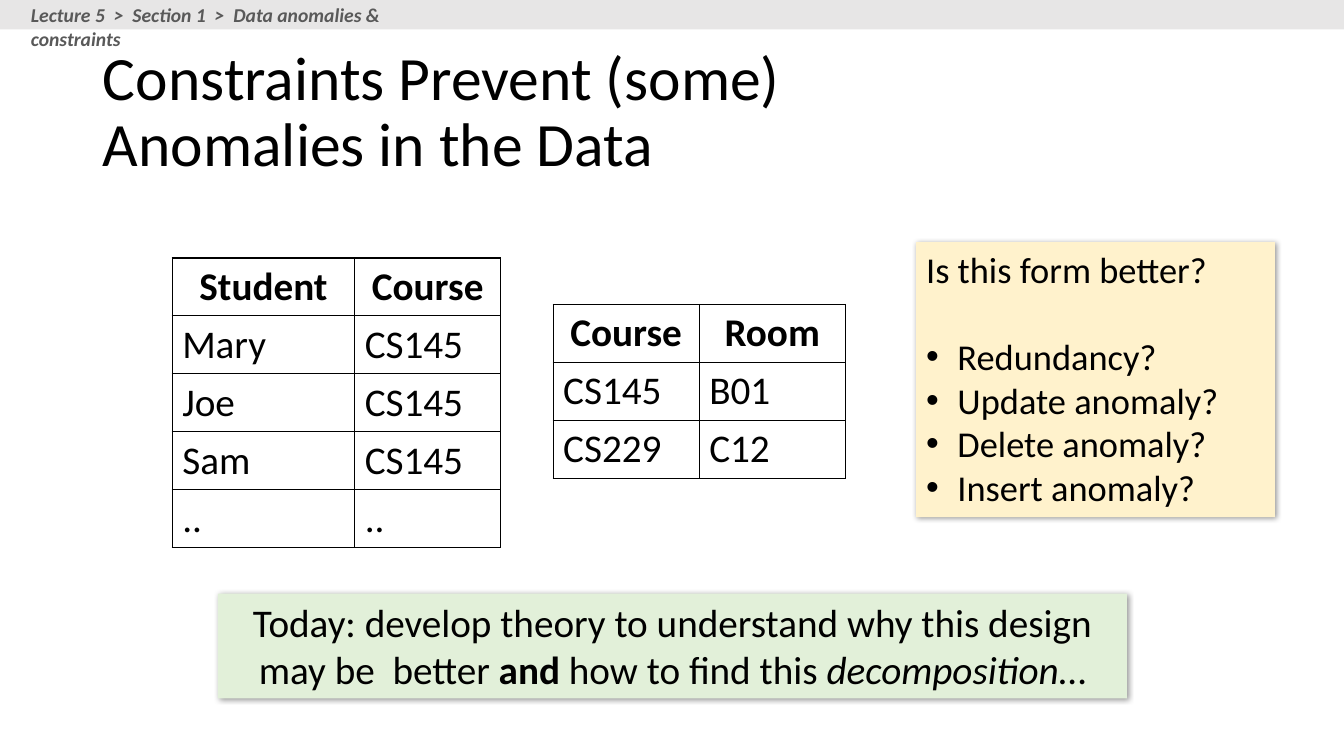
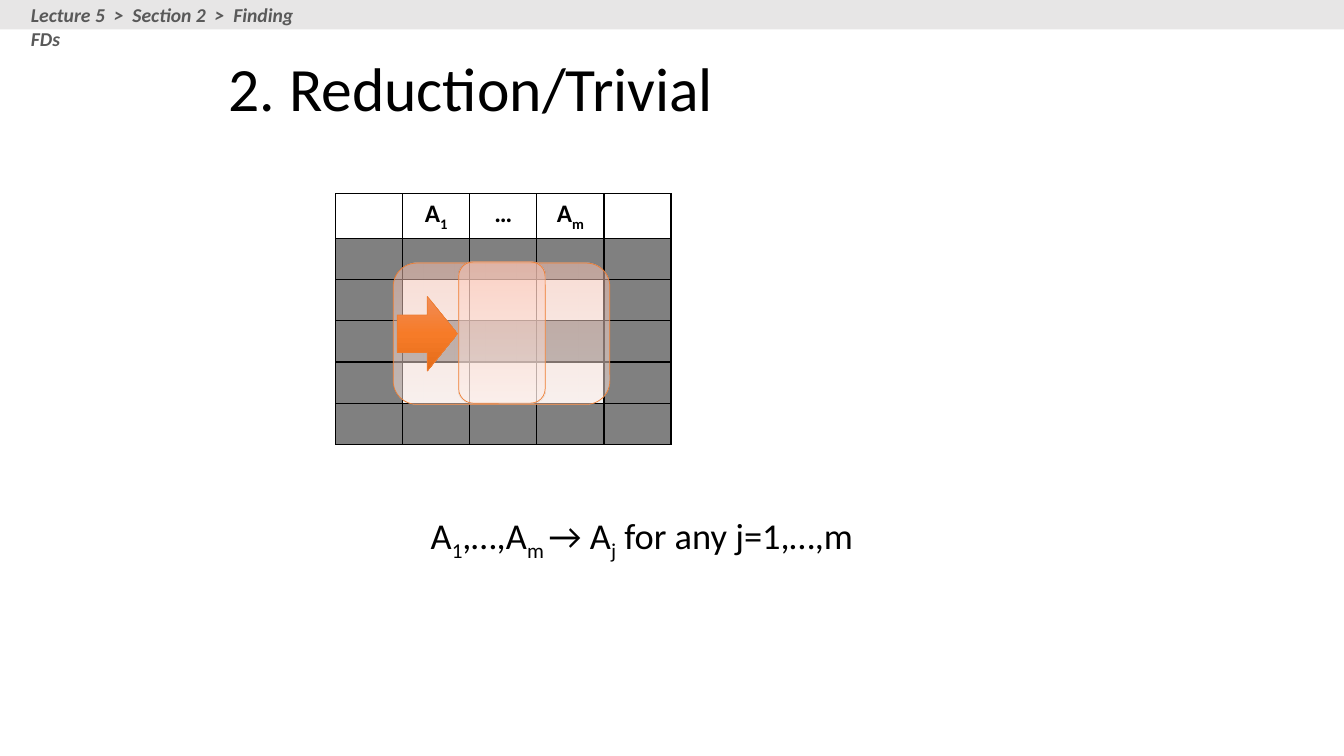
from pptx import Presentation
from pptx.dml.color import RGBColor
from pptx.enum.shapes import MSO_SHAPE as SHAPE
from pptx.enum.text import MSO_ANCHOR as ANCHOR, MSO_AUTO_SIZE as AUTO, PP_ALIGN as ALIGN
from pptx.oxml import parse_xml
from pptx.oxml.ns import nsdecls, qn
from pptx.util import Cm, Pt

FONT = "Calibri"
BLACK = RGBColor(0x00, 0x00, 0x00)
BAND = RGBColor(0xE7, 0xE6, 0xE6)
CRUMB = RGBColor(0x59, 0x59, 0x59)
GREEN = RGBColor(0xE2, 0xF0, 0xD9)
CREAM = RGBColor(0xFF, 0xF2, 0xCC)
ORANGE = RGBColor(0xED, 0x7D, 0x31)
GRAY = RGBColor(0x80, 0x80, 0x80)
LIGHT = RGBColor(0xF2, 0xF2, 0xF2)
PEACH_STOPS = [(0, RGBColor(0xFF, 0xC7, 0xB6)), (35, RGBColor(0xFF, 0xD7, 0xCB)),
               (100, RGBColor(0xFF, 0xF0, 0xEB))]
ARROW_STOPS = [(0, RGBColor(0xF1, 0x8C, 0x57)), (50, RGBColor(0xF6, 0x7B, 0x28)),
               (100, RGBColor(0xE5, 0x6C, 0x19))]

WIDTH, HEIGHT = 33.87, 19.05

ENROLMENTS = [("Student", "Course"), ("Mary", "CS145"), ("Joe", "CS145"),
              ("Sam", "CS145"), ("..", "..")]
ROOMS = [("Course", "Room"), ("CS145", "B01"), ("CS229", "C12")]
QUESTION = "Is this form better?"
ISSUES = ["Redundancy?", "Update anomaly?", "Delete anomaly?", "Insert anomaly?"]
TODAY = [("Today: develop theory to understand why this design may be  better ", ""),
         ("and", "b"), (" how to find this ", ""), ("decomposition", "i"), ("…", "")]
ATTRIBUTES = ["", [("A", ""), ("1", "sub")], "…", [("A", ""), ("m", "sub")], ""]
PATTERN_ROWS = 5
RULE = [("A", ""), ("1", "sub"), (",…,A", ""), ("m ", "sub"), ("→ A", ""),
        ("j", "sub"), (" for any j=1,…,m", "")]
OVERLAYS = [(SHAPE.ROUNDED_RECTANGLE, (9.91, 6.63, 5.46, 3.56), PEACH_STOPS, 50),
            (SHAPE.ROUNDED_RECTANGLE, (11.56, 6.6, 2.18, 3.56), PEACH_STOPS, 50),
            (SHAPE.RIGHT_ARROW, (10.01, 7.47, 1.52, 1.88), ARROW_STOPS, 100)]


def cms(box):
    return [Cm(v) for v in box]


def write(p, parts, size, bold=False, italic=False, color=BLACK, align=ALIGN.LEFT):
    p.alignment = align
    for text, style in [(parts, "")] if isinstance(parts, str) else parts:
        r = p.add_run()
        r.text = text
        f = r.font
        f.name, f.size, f.color.rgb = FONT, Pt(size), color
        f.bold = bold or style == "b"
        f.italic = italic or style == "i"
        if style == "sub":
            r._r.get_or_add_rPr().set("baseline", "-25000")


def add_text(s, box, parts, size, **look):
    tf = s.shapes.add_textbox(*cms(box)).text_frame
    tf.word_wrap = True
    write(tf.paragraphs[0], parts, size, **look)
    return tf


def add_box(s, kind, box, fill=None):
    sp = s.shapes.add_shape(kind, *cms(box))
    sp.shadow.inherit = False
    if fill is not None:
        sp.fill.solid()
        sp.fill.fore_color.rgb = fill
    sp.line.fill.background()
    return sp


def add_note(s, box, fill):
    sp = add_box(s, SHAPE.RECTANGLE, box, fill)
    sp._element.spPr.find(qn("a:effectLst")).append(parse_xml(
        f'<a:outerShdw {nsdecls("a")} blurRad="{Pt(4)}" dist="{Pt(1)}" dir="2700000">'
        '<a:srgbClr val="000000"><a:alpha val="40000"/></a:srgbClr></a:outerShdw>'))
    tf = sp.text_frame
    tf.word_wrap = True
    tf.vertical_anchor = ANCHOR.TOP
    return tf


def add_overlay(s, kind, box, stops, opacity):
    sp = add_box(s, kind, box)
    gs = "".join(f'<a:gs pos="{pos * 1000}"><a:srgbClr val="{color}">'
                 f'<a:alpha val="{opacity * 1000}"/></a:srgbClr></a:gs>'
                 for pos, color in stops)
    sp._element.spPr.find(qn("a:prstGeom")).addnext(parse_xml(
        f'<a:gradFill {nsdecls("a")} rotWithShape="1"><a:gsLst>{gs}</a:gsLst>'
        '<a:lin ang="5400000" scaled="0"/></a:gradFill>'))
    sp.line.color.rgb = ORANGE
    sp.line.width = Pt(0.5)


def add_grid(s, left, top, widths, row_height, rows, size, fill_at=None):
    frame = s.shapes.add_table(len(rows), len(widths), *cms(
        (left, top, sum(widths), row_height * len(rows))))
    table = frame.table
    table.first_row = table.horz_banding = False
    for col, width in zip(table.columns, widths):
        col.width = Cm(width)
    for i, row in enumerate(rows):
        table.rows[i].height = Cm(row_height)
        for j, parts in enumerate(row):
            cell = table.cell(i, j)
            tcPr = cell._tc.get_or_add_tcPr()
            for side in "LRTB":
                tcPr.append(parse_xml(
                    f'<a:ln{side} {nsdecls("a")} w="{Pt(1)}"><a:solidFill>'
                    f'<a:srgbClr val="{BLACK}"/></a:solidFill></a:ln{side}>'))
            color = fill_at(i, j) if fill_at else None
            if color is None:
                cell.fill.background()
            else:
                cell.fill.solid()
                cell.fill.fore_color.rgb = color
            if parts:
                write(cell.text_frame.paragraphs[0], parts, size, bold=i == 0,
                      align=ALIGN.CENTER if i == 0 else ALIGN.LEFT)


def add_bullet(p):
    pPr = p._p.get_or_add_pPr()
    pPr.set("marL", str(Cm(0.79)))
    pPr.set("indent", str(-Cm(0.79)))
    pPr.append(parse_xml(f'<a:buFont {nsdecls("a")} typeface="Arial"/>'))
    pPr.append(parse_xml(f'<a:buChar {nsdecls("a")} char="•"/>'))


def add_slide(prs, crumbs, crumb_width, title, title_box):
    s = prs.slides.add_slide(prs.slide_layouts[5])
    add_box(s, SHAPE.RECTANGLE, (0, 0, WIDTH, 0.74), BAND)
    tf = add_text(s, (0.53, 0, crumb_width, 0.82), "  >  ".join(crumbs), 14,
                  bold=True, italic=True, color=CRUMB)
    tf.margin_top = Cm(0.08)
    sp = s.shapes.title
    sp.left, sp.top, sp.width, sp.height = cms(title_box)
    tf = sp.text_frame
    tf.auto_size = AUTO.NONE
    tf.word_wrap = True
    tf.vertical_anchor = ANCHOR.MIDDLE
    p = tf.paragraphs[0]
    p.line_spacing = 0.9
    for i, line in enumerate(title):
        if i:
            p.add_line_break()
        write(p, line, 44)
    return s


def pattern_fill(i, j):
    if i == 0:
        return None
    return LIGHT if i in (2, 4) and 1 <= j <= 3 else GRAY


def anomalies_slide(prs):
    s = add_slide(prs, ["Lecture 5", "Section 1", "Data anomalies & constraints"], 11.46,
                  ["Constraints Prevent (some) ", "Anomalies in the Data"],
                  (2.34, 1.02, 29.21, 3.68))
    add_grid(s, 4.34, 6.5, [4.6, 3.68], 1.46, ENROLMENTS, 28)
    add_grid(s, 13.94, 7.67, [3.68] * 2, 1.46, ROOMS, 28)
    tf = add_note(s, (5.49, 14.96, 22.91, 2.64), GREEN)
    write(tf.paragraphs[0], TODAY, 28, align=ALIGN.CENTER)
    tf = add_note(s, (23.09, 6.1, 9.04, 6.93), CREAM)
    write(tf.paragraphs[0], QUESTION, 26)
    for i, issue in enumerate(ISSUES):
        p = tf.add_paragraph()
        add_bullet(p)
        p.space_before = Pt(0 if i else 31)
        write(p, issue, 26)


def reduction_slide(prs):
    s = add_slide(prs, ["Lecture 5", "Section 2", "Finding FDs"], 7.6,
                  ["2. Reduction/Trivial"], (5.51, 0.71, 22.86, 3.18))
    rows = [ATTRIBUTES] + [[""] * len(ATTRIBUTES)] * PATTERN_ROWS
    add_grid(s, 8.46, 4.88, [1.69] * len(ATTRIBUTES), 1.04, rows, 18, pattern_fill)
    add_text(s, (8.89, 12.8, 14.58, 1.37), RULE, 26, align=ALIGN.CENTER)
    for overlay in OVERLAYS:
        add_overlay(s, *overlay)


def main():
    prs = Presentation()
    prs.slide_width, prs.slide_height = Cm(WIDTH), Cm(HEIGHT)
    anomalies_slide(prs)
    reduction_slide(prs)
    prs.save("out.pptx")


if __name__ == "__main__":
    main()
